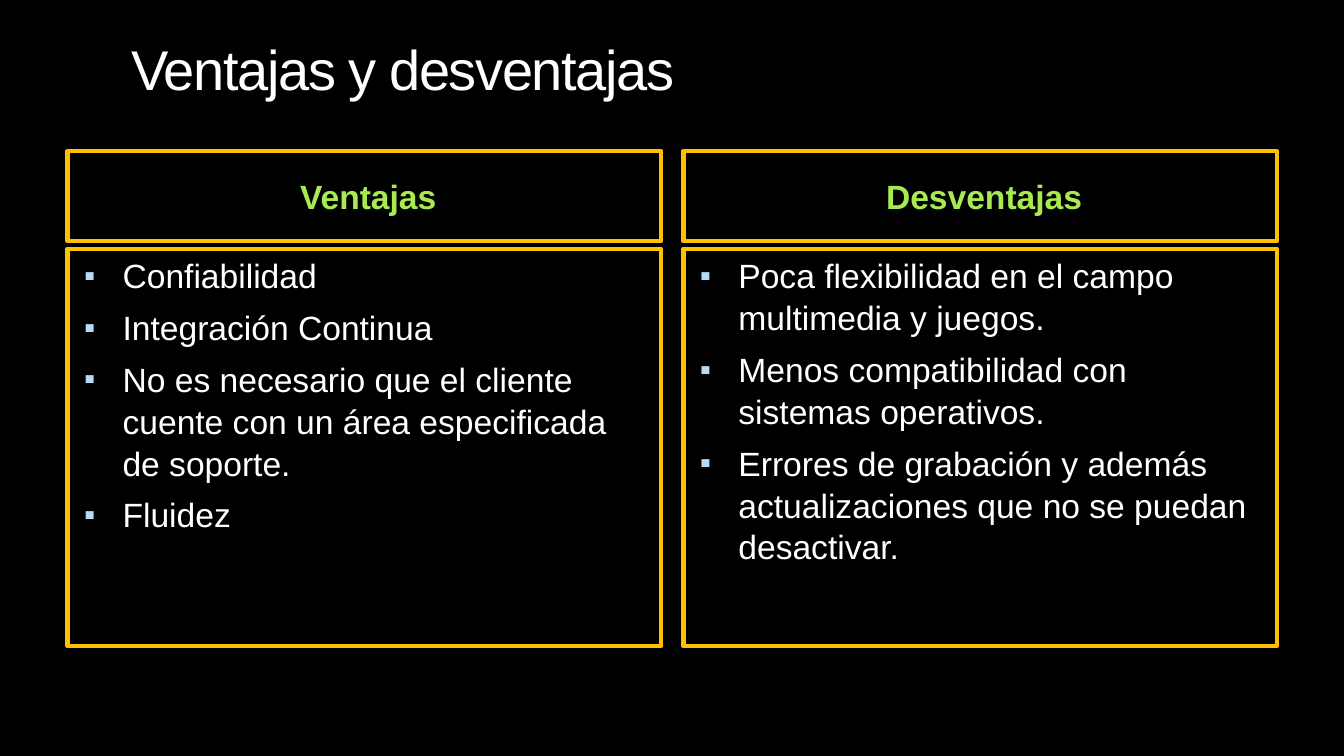
import pptx
import pptx.util
import pptx.dml.color
import pptx.enum.shapes
import pptx.enum.text
import pptx.oxml.ns
import lxml.etree

Cm = pptx.util.Cm
Pt = pptx.util.Pt
ALIGN = pptx.enum.text.PP_ALIGN
ANCHOR = pptx.enum.text.MSO_ANCHOR

LEFT, COLUMN_WIDTH, COLUMN_STEP = 1.7, 14.96, 15.52
HEADER_TOP, HEADER_HEIGHT = 3.81, 2.26
BODY_TOP, BODY_HEIGHT = 6.27, 10.01

COLUMNS = [
    ("Ventajas", [
        "Confiabilidad",
        "Integración Continua",
        "No es necesario que el cliente cuente con un área especificada de soporte.",
        "Fluidez",
    ]),
    ("Desventajas", [
        "Poca flexibilidad en el campo multimedia y juegos.",
        "Menos compatibilidad con sistemas operativos.",
        "Errores de grabación y además actualizaciones que no se puedan desactivar.",
    ]),
]


def rgb(value):
    return pptx.dml.color.RGBColor.from_string(value)


def format_runs(p, size, color, bold=False):
    for r in p.runs:
        r.font.name = "Arial"
        r.font.size = Pt(size)
        r.font.bold = bold
        r.font.color.rgb = rgb(color)


def set_indent(p, left, first):
    pPr = p._p.get_or_add_pPr()
    pPr.set("marL", str(Cm(left)))
    pPr.set("indent", str(Cm(first)))
    return pPr


def add_bullet(p):
    pPr = set_indent(p, 1.14, -0.97)
    qn = pptx.oxml.ns.qn
    color = lxml.etree.SubElement(pPr, qn("a:buClr"))
    lxml.etree.SubElement(color, qn("a:srgbClr"), val="B4DCFA")
    lxml.etree.SubElement(pPr, qn("a:buSzPct"), val="95000")
    lxml.etree.SubElement(pPr, qn("a:buFont"), typeface="Arial")
    lxml.etree.SubElement(pPr, qn("a:buChar"), char="▪")


def add_title(s, text):
    sp = s.shapes.title
    sp.left, sp.top, sp.width, sp.height = Cm(3.05), Cm(0.64), Cm(27.23), Cm(2.16)
    tf = sp.text_frame
    tf.text = text
    tf.vertical_anchor = ANCHOR.MIDDLE
    p = tf.paragraphs[0]
    p.alignment = ALIGN.LEFT
    format_runs(p, 40, "FFFFFF")
    p.runs[0].font._element.set("spc", "-100")


def add_frame(s, left, top, height, anchor):
    sp = s.shapes.add_shape(pptx.enum.shapes.MSO_SHAPE.RECTANGLE,
                            Cm(left), Cm(top), Cm(COLUMN_WIDTH), Cm(height))
    sp.shadow.inherit = False
    sp.fill.background()
    sp.line.color.rgb = rgb("FFC000")
    sp.line.width = Pt(3.25)
    tf = sp.text_frame
    tf.word_wrap = True
    tf.vertical_anchor = anchor
    return tf


def add_header(s, left, text):
    tf = add_frame(s, left, HEADER_TOP, HEADER_HEIGHT, ANCHOR.MIDDLE)
    tf.text = text
    p = tf.paragraphs[0]
    p.alignment = ALIGN.CENTER
    p.space_before = Pt(7)
    set_indent(p, 0.2, 0)
    format_runs(p, 24, "A7EA52", bold=True)


def add_list(s, left, items):
    tf = add_frame(s, left, BODY_TOP, BODY_HEIGHT, ANCHOR.TOP)
    tf.text = "\n".join(items)
    for p in tf.paragraphs:
        p.alignment = ALIGN.LEFT
        p.line_spacing = 1.04
        p.space_before = Pt(7)
        add_bullet(p)
        format_runs(p, 24, "FFFFFF")


def main():
    prs = pptx.Presentation()
    prs.slide_width, prs.slide_height = Cm(33.87), Cm(19.05)
    s = prs.slides.add_slide(prs.slide_layouts[5])
    s.background.fill.solid()
    s.background.fill.fore_color.rgb = rgb("000000")
    add_title(s, "Ventajas y desventajas")
    for i, (header, items) in enumerate(COLUMNS):
        left = LEFT + i * COLUMN_STEP
        add_header(s, left, header)
        add_list(s, left, items)
    prs.save("out.pptx")


main()
